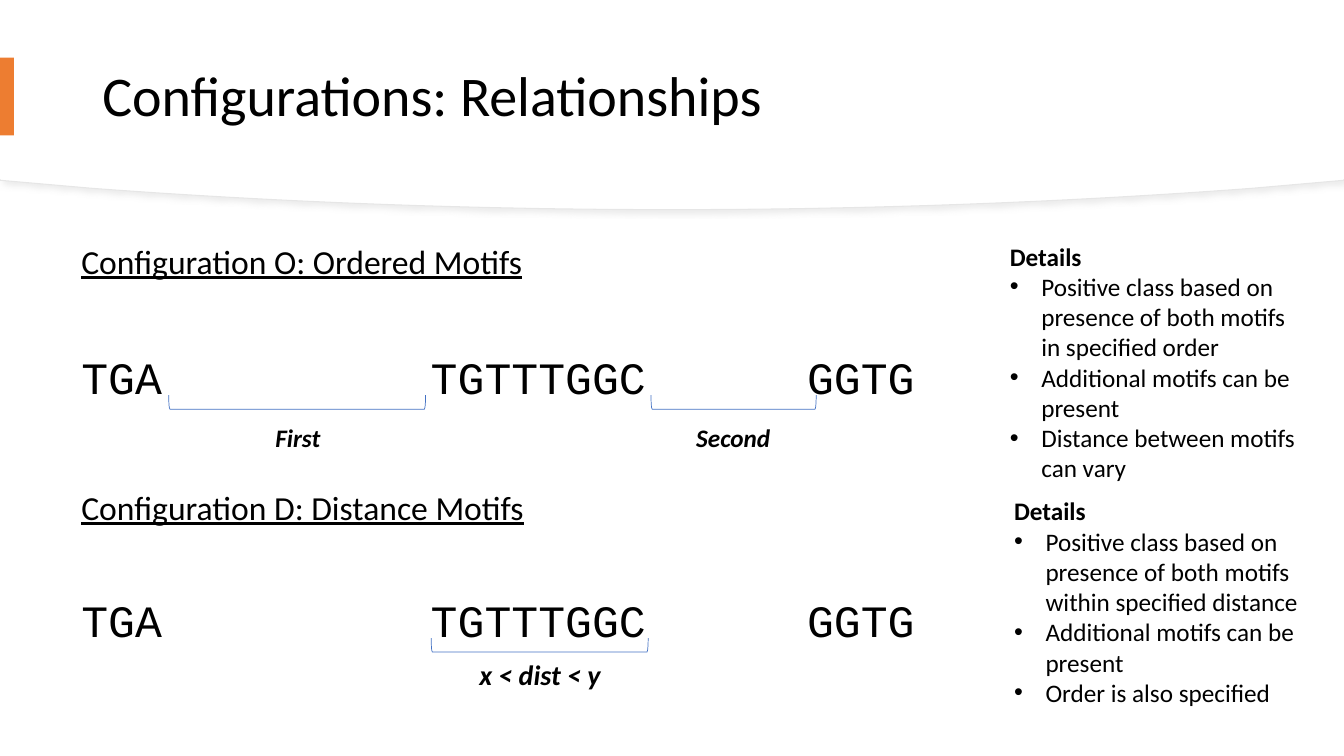
from dataclasses import dataclass

from lxml import etree
from pptx import Presentation
from pptx import util as u
from pptx.dml.color import RGBColor
from pptx.enum import shapes, text
from pptx.oxml import parse_xml
from pptx.oxml.ns import nsdecls, qn


@dataclass(frozen=True)
class Theme:
    ink: RGBColor = RGBColor(0, 0, 0)
    paper: RGBColor = RGBColor(255, 255, 255)
    accent: RGBColor = RGBColor(0xED, 0x7D, 0x31)
    bracket: RGBColor = RGBColor(0x44, 0x72, 0xC4)
    edge: RGBColor = RGBColor(0xE6, 0xE6, 0xE6)
    shadow: str = "D9D9D9"
    body_font: str = "Calibri"
    motif_font: str = "Courier New"
    title_size: int = 40
    heading_size: int = 24
    motif_size: int = 32
    body_size: int = 18
    distance_size: int = 20


THEME = Theme()
WIDTH, HEIGHT = 960, 540
MOTIFS = ("TGA", "TGTTTGGC", "GGTG")
MOTIF_COLUMNS = (13, 27)  # character columns of the second and third motif
CHARACTER_WIDTH = 0.6 * THEME.motif_size


def points(box):
    return [u.Pt(length) for length in box]


def add_text_box(slide, box, anchor=text.MSO_ANCHOR.TOP):
    frame = slide.shapes.add_textbox(*points(box)).text_frame
    frame.word_wrap = True
    frame.vertical_anchor = anchor
    return frame


def add_run(paragraph, words, size, font=THEME.body_font, bold=False,
            italic=False, underline=False):
    run = paragraph.add_run()
    run.text = words
    run.font.name = font
    run.font.size = u.Pt(size)
    run.font.bold = bold
    run.font.italic = italic
    run.font.underline = underline
    run.font.color.rgb = THEME.ink


def add_bullet(paragraph, indent=22.5):
    properties = paragraph._p.get_or_add_pPr()
    properties.set("marL", str(u.Pt(indent)))
    properties.set("indent", str(-u.Pt(indent)))
    etree.SubElement(properties, qn("a:buFont"), typeface="Arial")
    etree.SubElement(properties, qn("a:buChar"), char="•")


def add_curved_panel(slide, box, lift=0):
    """Draw a white panel whose lower edge sags to the bottom of the box."""
    left, top, width, height = box
    bottom = top + height - lift
    # Right half of the lower edge, from the shoulder to the middle
    controls = ((0.931, 15.2), (0.799, 5.8), (0.653, 0), (0.5, 0))
    right_half = []
    steps = 24
    for step in range(steps + 1):
        t = step / steps
        weights = ((1 - t) ** 3, 3 * t * (1 - t) ** 2, 3 * t * t * (1 - t), t ** 3)
        x = sum(w * c[0] for w, c in zip(weights, controls))
        rise = sum(w * c[1] for w, c in zip(weights, controls))
        right_half.append((x, bottom - rise))
    right_half.insert(0, (1, bottom - 21))
    left_half = [(1 - x, y) for x, y in reversed(right_half[:-1])]
    outline = [(1, top)] + right_half + left_half

    builder = slide.shapes.build_freeform(u.Pt(left), u.Pt(top))
    builder.add_line_segments(
        [(u.Pt(left + x * width), u.Pt(y)) for x, y in outline], close=True)
    panel = builder.convert_to_shape()
    panel.shadow.inherit = False
    panel.fill.solid()
    panel.fill.fore_color.rgb = THEME.paper
    panel.line.fill.background()
    return panel


def add_header(slide, box, title):
    left, top, width, height = box

    # Edged panel with a soft shadow, and a plain panel over it
    edged = add_curved_panel(slide, box)
    edged.line.color.rgb = THEME.edge
    edged.line.width = u.Pt(0.75)
    effects = edged._element.spPr.find(qn("a:effectLst"))
    effects.append(parse_xml(
        f'<a:outerShdw {nsdecls("a")} blurRad="{u.Pt(4)}" dist="{u.Pt(3)}" '
        f'dir="2700000" algn="tl" rotWithShape="0"><a:srgbClr val="{THEME.shadow}">'
        '<a:alpha val="50000"/></a:srgbClr></a:outerShdw>'))
    add_curved_panel(slide, box, lift=0.75)

    # Title
    frame = add_text_box(slide, (left + 66, top + 20, width - 132, 100),
                         text.MSO_ANCHOR.MIDDLE)
    paragraph = frame.paragraphs[0]
    paragraph.line_spacing = 0.9
    add_run(paragraph, title, THEME.title_size)

    # Accent tab at the slide edge
    tab = slide.shapes.add_shape(shapes.MSO_SHAPE.RECTANGLE,
                                 *points((left, top + 41.25, 10, 55.5)))
    tab.shadow.inherit = False
    tab.fill.solid()
    tab.fill.fore_color.rgb = THEME.accent
    tab.line.fill.background()


def add_motif_row(slide, box):
    paragraph = add_text_box(slide, box).paragraphs[0]
    tabs = etree.SubElement(paragraph._p.get_or_add_pPr(), qn("a:tabLst"))
    for column in MOTIF_COLUMNS:
        position = u.Pt(column * CHARACTER_WIDTH)
        etree.SubElement(tabs, qn("a:tab"), pos=str(position), algn="l")
    for index, motif in enumerate(MOTIFS):
        add_run(paragraph, "\t" * (index > 0) + motif, THEME.motif_size,
                THEME.motif_font)


def add_bracket(slide, box):
    """Lay a left bracket on its back so that it fills the box."""
    left, top, width, height = box
    middle_x, middle_y = left + width / 2, top + height / 2
    bracket = slide.shapes.add_shape(
        shapes.MSO_SHAPE.LEFT_BRACKET,
        *points((middle_x - height / 2, middle_y - width / 2, height, width)))
    bracket.rotation = 270
    bracket.shadow.inherit = False
    bracket.fill.background()
    bracket.line.color.rgb = THEME.bracket
    bracket.line.width = u.Pt(0.5)


def add_details(slide, box, details):
    frame = add_text_box(slide, box)
    add_run(frame.paragraphs[0], "Details", THEME.body_size, bold=True)
    for detail in details:
        paragraph = frame.add_paragraph()
        add_bullet(paragraph)
        add_run(paragraph, detail, THEME.body_size)


def add_configuration(slide, box, heading, row_top, spans, details_offset, details):
    """Spans hold bracket left and width, then label, its box and its size."""
    left, top, width, height = box
    paragraph = add_text_box(slide, (left, top, 353, 36)).paragraphs[0]
    add_run(paragraph, heading, THEME.heading_size, underline=True)
    add_motif_row(slide, (left, top + row_top, 624, 46))

    # Brackets with their labels
    for start, length, label, label_box, size in spans:
        add_bracket(slide, (left + start, top + row_top + 36, length, 10))
        x, y, label_width, label_height = label_box
        frame = add_text_box(slide, (left + x, top + y, label_width, label_height))
        frame.paragraphs[0].alignment = text.PP_ALIGN.CENTER
        add_run(frame.paragraphs[0], label, size, bold=True, italic=True)

    x, y = details_offset
    add_details(slide, (left + x, top + y, 219, 181.5), details)


def main():
    presentation = Presentation()
    presentation.slide_width, presentation.slide_height = points((WIDTH, HEIGHT))
    slide = presentation.slides.add_slide(presentation.slide_layouts[6])

    add_header(slide, (0, 0, WIDTH, 149.75), "Configurations: Relationships")
    add_configuration(
        slide, (51, 168.5, 882, 181.5), "Configuration O: Ordered Motifs", 77.75,
        [(69.5, 183.5, "First", (127.5, 129.5, 68.5, 29), THEME.body_size),
         (414, 118, "Second", (438.5, 129.5, 68.5, 29), THEME.body_size)],
        (663.25, 0),
        ["Positive class based on presence of both motifs in specified order",
         "Additional motifs can be present",
         "Distance between motifs can vary"])
    add_configuration(
        slide, (51, 344.25, 882, 188), "Configuration D: Distance Motifs", 75.5,
        [(257, 155, "x < dist < y", (276, 121.5, 117.5, 31.5), THEME.distance_size)],
        (666.25, 6.25),
        ["Positive class based on presence of both motifs within specified distance",
         "Additional motifs can be present",
         "Order is also specified"])
    presentation.save("out.pptx")


if __name__ == "__main__":
    main()
